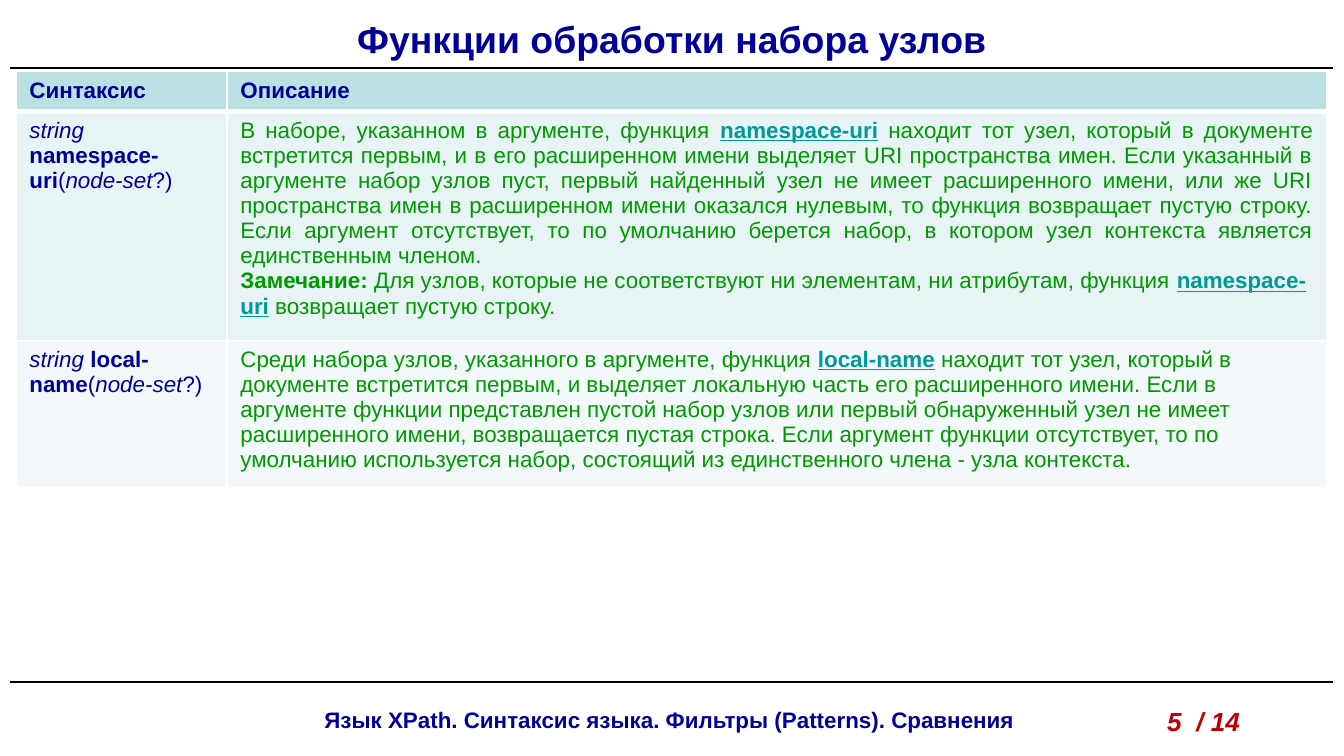
"""Build the slide on XPath node-set functions: title, table and footer."""
from lxml.etree import SubElement
from pptx import Presentation
from pptx.dml.color import RGBColor
from pptx.enum.shapes import MSO_CONNECTOR as Connector
from pptx.enum.text import MSO_ANCHOR as Anchor, PP_ALIGN as Align
from pptx.oxml.ns import qn
from pptx.util import Pt

PX = 914400 / 134.4
NAVY, GREEN, TEAL, RED = "000099", "009900", "009999", "C00000"
BLACK, WHITE = "000000", "FFFFFF"

STYLES = {
    "plain": {},
    "bold": {"bold": True},
    "italic": {"italic": True},
    "link": {"bold": True, "underline": True, "color": TEAL},
}

LABELS = [
    ("Функции обработки набора узлов", (0, 8, 1344, 61), 20, NAVY, False, Align.CENTER),
    ("Язык XPath. Синтаксис языка. Фильтры (Patterns). Сравнения",
     (168, 700, 1003, 40), 12, NAVY, False, Align.CENTER),
    ("5  / 14", (1154, 698, 137, 46), 14, RED, True, Align.LEFT),
]
RULES = [68, 682]
RULE_LEFT, RULE_RIGHT = 10, 1333

TABLE_LEFT, TABLE_TOP = 16, 71
COLUMNS = [211, 1100]
ROWS = [40, 229, 147]
ROW_FILLS = ["BBE0E3", "E7F3F4", "F3F9FA"]


def signature(name):
    """Return the spans of a function signature."""
    return [("string ", "italic"), (name, "bold"), ("(", "plain"),
            ("node-set", "italic"), ("?)", "plain")]


CELLS = [
    [(NAVY, [(Align.LEFT, [("Синтаксис", "bold")])]),
     (NAVY, [(Align.LEFT, [("Описание", "bold")])])],
    [(NAVY, [(Align.LEFT, signature("namespace-uri"))]),
     (GREEN, [
         (Align.JUSTIFY, [
             ("В наборе, указанном в аргументе, функция ", "plain"),
             ("namespace-uri", "link"),
             (" находит тот узел, который в документе встретится первым, "
              "и в его расширенном имени выделяет URI пространства имен. "
              "Если указанный в аргументе набор узлов пуст, первый найденный "
              "узел не имеет расширенного имени, или же URI пространства имен "
              "в расширенном имени оказался нулевым, то функция возвращает "
              "пустую строку. Если аргумент отсутствует, то по умолчанию "
              "берется набор, в котором узел контекста является единственным "
              "членом.", "plain")]),
         (Align.LEFT, [
             ("Замечание:", "bold"),
             (" Для узлов, которые не соответствуют ни элементам, "
              "ни атрибутам, функция ", "plain"),
             ("namespace-uri", "link"),
             (" возвращает пустую строку.", "plain")])])],
    [(NAVY, [(Align.LEFT, signature("local-name"))]),
     (GREEN, [
         (Align.LEFT, [
             ("Среди набора узлов, указанного в аргументе, функция ", "plain"),
             ("local-name", "link"),
             (" находит тот узел, который в документе встретится первым, "
              "и выделяет локальную часть его расширенного имени. Если "
              "в аргументе функции представлен пустой набор узлов или первый "
              "обнаруженный узел не имеет расширенного имени, возвращается "
              "пустая строка. Если аргумент функции отсутствует, то "
              "по умолчанию используется набор, состоящий из единственного "
              "члена - узла контекста.", "plain")])])],
]


def px(length):
    """Convert px to EMU."""
    return round(length * PX)


def rgb(color):
    """Convert a hex string to a colour."""
    return RGBColor.from_string(color)


def set_font(font, size, color, bold=False, italic=False, underline=False):
    """Set every font property used on the slide."""
    font.name, font.size = "Arial", Pt(size)
    font.bold, font.italic, font.underline = bold, italic, underline
    font.color.rgb = rgb(color)


def add_label(page, text, place, size, color, italic, align):
    """Add a bold one-line text box."""
    frame = page.shapes.add_textbox(*map(px, place)).text_frame
    frame.word_wrap = True
    frame.vertical_anchor = Anchor.MIDDLE
    para = frame.paragraphs[0]
    para.text, para.alignment = text, align
    set_font(para.font, size, color, True, italic)


def add_rule(page, top):
    """Add a thin horizontal line."""
    rule = page.shapes.add_connector(
        Connector.STRAIGHT, px(RULE_LEFT), px(top), px(RULE_RIGHT), px(top))
    rule.line.color.rgb, rule.line.width = rgb(BLACK), Pt(0.75)
    SubElement(rule._element.spPr, qn("a:effectLst"))


def add_border(cell, side, width):
    """Add a white border to one side of a cell."""
    line = SubElement(cell._tc.get_or_add_tcPr(), qn(f"a:ln{side}"), w=str(Pt(width)))
    fill = SubElement(line, qn("a:solidFill"))
    SubElement(fill, qn("a:srgbClr"), val=WHITE)


def fill_cell(cell, color, paragraphs):
    """Write styled paragraphs into a cell."""
    frame = cell.text_frame
    for index, (align, spans) in enumerate(paragraphs):
        para = frame.add_paragraph() if index else frame.paragraphs[0]
        para.alignment = align
        for text, style in spans:
            span = para.add_run()
            span.text = text
            set_font(span.font, 12, **{"color": color, **STYLES[style]})


def add_functions_table(page):
    """Add the table of functions."""
    table = page.shapes.add_table(
        len(ROWS), len(COLUMNS), px(TABLE_LEFT), px(TABLE_TOP),
        px(sum(COLUMNS)), px(sum(ROWS))).table
    for column, width in zip(table.columns, COLUMNS):
        column.width = px(width)
    for r, (height, fill, contents) in enumerate(zip(ROWS, ROW_FILLS, CELLS)):
        table.rows[r].height = px(height)
        borders = {"L": 1, "R": 1, "T": 3 if r == 1 else 1, "B": 3 if r == 0 else 1}
        for c, (color, paragraphs) in enumerate(contents):
            cell = table.cell(r, c)
            for side, width in borders.items():
                add_border(cell, side, width)
            cell.fill.solid()
            cell.fill.fore_color.rgb = rgb(fill)
            fill_cell(cell, color, paragraphs)


def main():
    """Build and save the deck."""
    deck = Presentation()
    deck.slide_width, deck.slide_height = px(1344), px(756)
    page = deck.slides.add_slide(deck.slide_layouts[6])
    for top in RULES:
        add_rule(page, top)
    for label in LABELS:
        add_label(page, *label)
    add_functions_table(page)
    deck.save("out.pptx")


if __name__ == "__main__":
    main()
